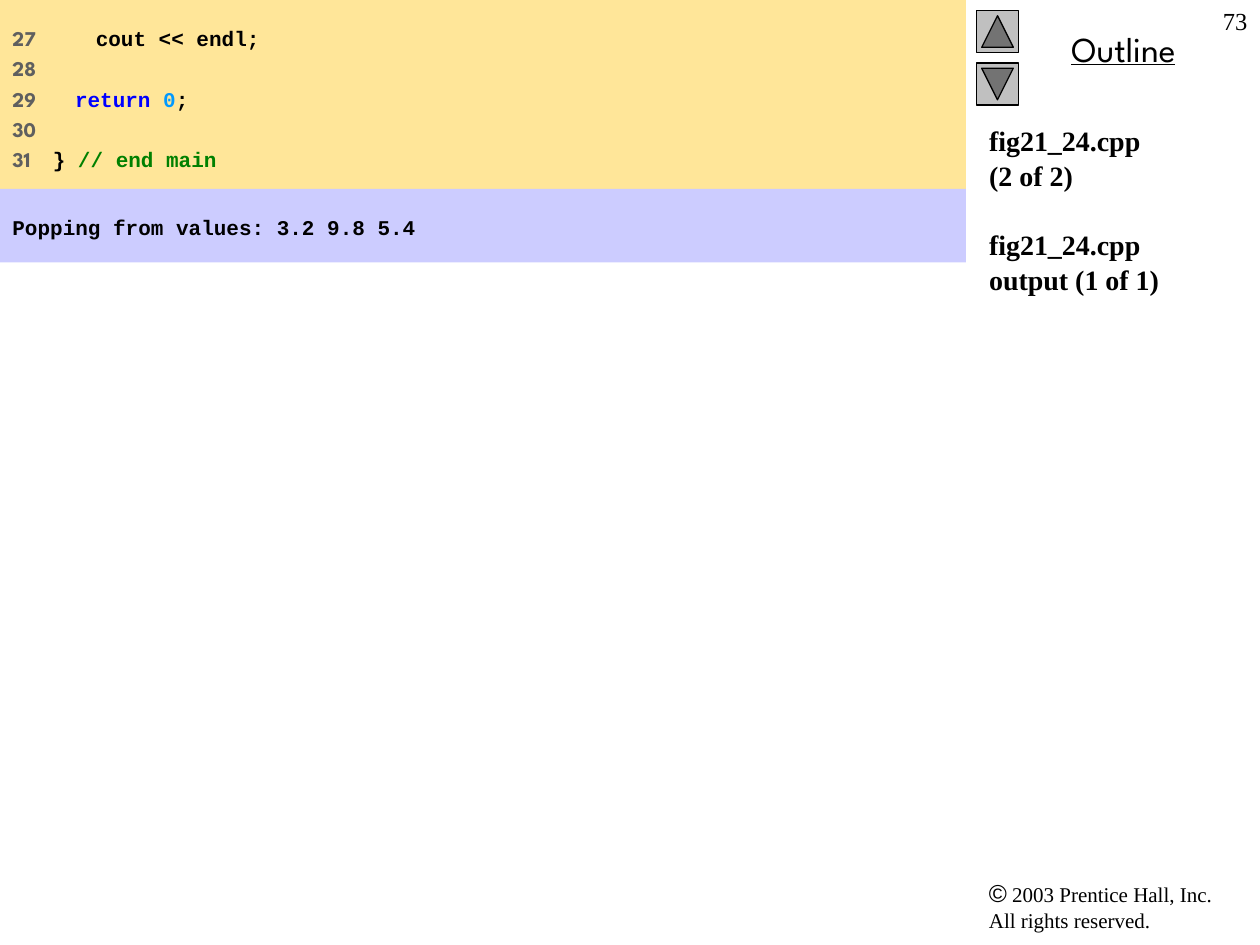
import pptx
import pptx.util
import pptx.dml.color
import pptx.enum.shapes
import pptx.enum.text

Pt = pptx.util.Pt
Shape = pptx.enum.shapes.MSO_SHAPE
Align = pptx.enum.text.PP_ALIGN

# Content: each line is a list of (text, face, colour)
SANS, SERIF, MONO, ARIAL = "League Spartan", "Times New Roman", "Courier New", "Arial"
BLACK, GREY, BLUE, CYAN, GREEN = "000000", "5F5F5F", "0000FF", "0099FF", "008000"
CODE = [
    [("27    ", SANS, GREY), ("   cout << endl;", MONO, BLACK)],
    [("28", SANS, GREY)],
    [("29       ", SANS, GREY), ("return ", MONO, BLUE), ("0", MONO, CYAN), (";", MONO, BLACK)],
    [("30", SANS, GREY)],
    [("31    ", SANS, GREY), ("} ", MONO, BLACK), ("// end main", MONO, GREEN)],
]
OUTPUT = [[("Popping from values: 3.2 9.8 5.4", MONO, BLACK)]]
TITLE = ["fig21_24.cpp\v(2 of 2)", "fig21_24.cpp\voutput (1 of 1)"]
COPYRIGHT = ["2003 Prentice Hall, Inc.", "All rights reserved."]

# Layout in points
PANEL_WIDTH, SIDE_LEFT = 552, 558
PANELS = [(CODE, 108, "FFE699"), (OUTPUT, 42, "CCCCFF")]
BUTTON_SIZE = 24
BUTTONS = [(6, 90), (36, 270)]  # top, rotation
TITLE_LINE = 19.3


def color(value):
    return pptx.dml.color.RGBColor.from_string(value)


def set_font(font, face, size, value=BLACK):
    font.name, font.size = face, Pt(size)
    font.color.rgb = color(value)


def set_frame(frame, inset_y=3.6):
    frame.word_wrap = True
    frame.auto_size = pptx.enum.text.MSO_AUTO_SIZE.NONE
    frame.vertical_anchor = pptx.enum.text.MSO_ANCHOR.TOP
    frame.margin_left = frame.margin_right = Pt(7.2)
    frame.margin_top = frame.margin_bottom = Pt(inset_y)


def add_label(page, left, top, width, height, text, face, size, align):
    box = page.shapes.add_textbox(Pt(left), Pt(top), Pt(width), Pt(height))
    set_frame(box.text_frame)
    para = box.text_frame.paragraphs[0]
    para.alignment = align
    set_font(para.font, face, size)
    para.add_run().text = text
    return para


def add_panel(page, top, height, fill, lines):
    panel = page.shapes.add_shape(Shape.RECTANGLE, 0, Pt(top), Pt(PANEL_WIDTH), Pt(height))
    panel.shadow.inherit = False
    panel.fill.solid()
    panel.fill.fore_color.rgb = color(fill)
    panel.line.fill.background()
    frame = panel.text_frame
    set_frame(frame, 14.4)
    for index, line in enumerate(lines):
        para = frame.add_paragraph() if index else frame.paragraphs[0]
        para.alignment = Align.LEFT
        para.space_before = Pt(3 if index else 0)
        para.font.size, para.font.bold = Pt(12), True
        for text, face, value in line:
            span = para.add_run()
            span.text = text
            span.font.name = face
            span.font.color.rgb = color(value)


def add_button(page, top, rotation):
    button = page.shapes.add_shape(Shape.ACTION_BUTTON_BACK_OR_PREVIOUS, Pt(SIDE_LEFT),
                                   Pt(top), Pt(BUTTON_SIZE), Pt(BUTTON_SIZE))
    button.rotation = rotation
    button.shadow.inherit = False
    button.fill.solid()
    button.fill.fore_color.rgb = color("C0C0C0")
    button.line.color.rgb = color(BLACK)
    button.line.width = Pt(0.75)


def fill_title(title):
    title.left, title.top, title.width, title.height = map(Pt, (SIDE_LEFT, 66, 162, 378))
    frame = title.text_frame
    set_frame(frame)
    for index, text in enumerate(TITLE):
        para = frame.add_paragraph() if index else frame.paragraphs[0]
        para.alignment = Align.LEFT
        para.line_spacing = 1.05
        para.space_before = Pt(TITLE_LINE if index else 0)
        set_font(para.font, SERIF, 16)
        para.font.bold = True
        para.text = text


def main():
    deck = pptx.Presentation()
    deck.slide_width, deck.slide_height = Pt(720), Pt(540)
    page = deck.slides.add_slide(deck.slide_layouts[5])

    # Side column
    sign = add_label(page, SIDE_LEFT, 498, 156, 39, "©", ARIAL, 12, Align.LEFT)
    sign.runs[0].font.size = Pt(14)
    sign.font.name = SERIF
    sign.runs[0].font.name = ARIAL
    for index, text in enumerate(COPYRIGHT):
        if index:
            sign.add_line_break()
        sign.add_run().text = text if index else " " + text
    outline = add_label(page, 564, 12, 156, 32, "Outline", SANS, 20, Align.CENTER)
    outline.font.underline = True
    for top, rotation in BUTTONS:
        add_button(page, top, rotation)
    add_label(page, 684, 0, 36, 36, "73", SERIF, 14, Align.RIGHT)
    fill_title(page.shapes.title)

    # Code and output panels, stacked from the top
    top = 0
    for lines, height, fill in PANELS:
        add_panel(page, top, height, fill, lines)
        top += height

    deck.save("out.pptx")


if __name__ == "__main__":
    main()
